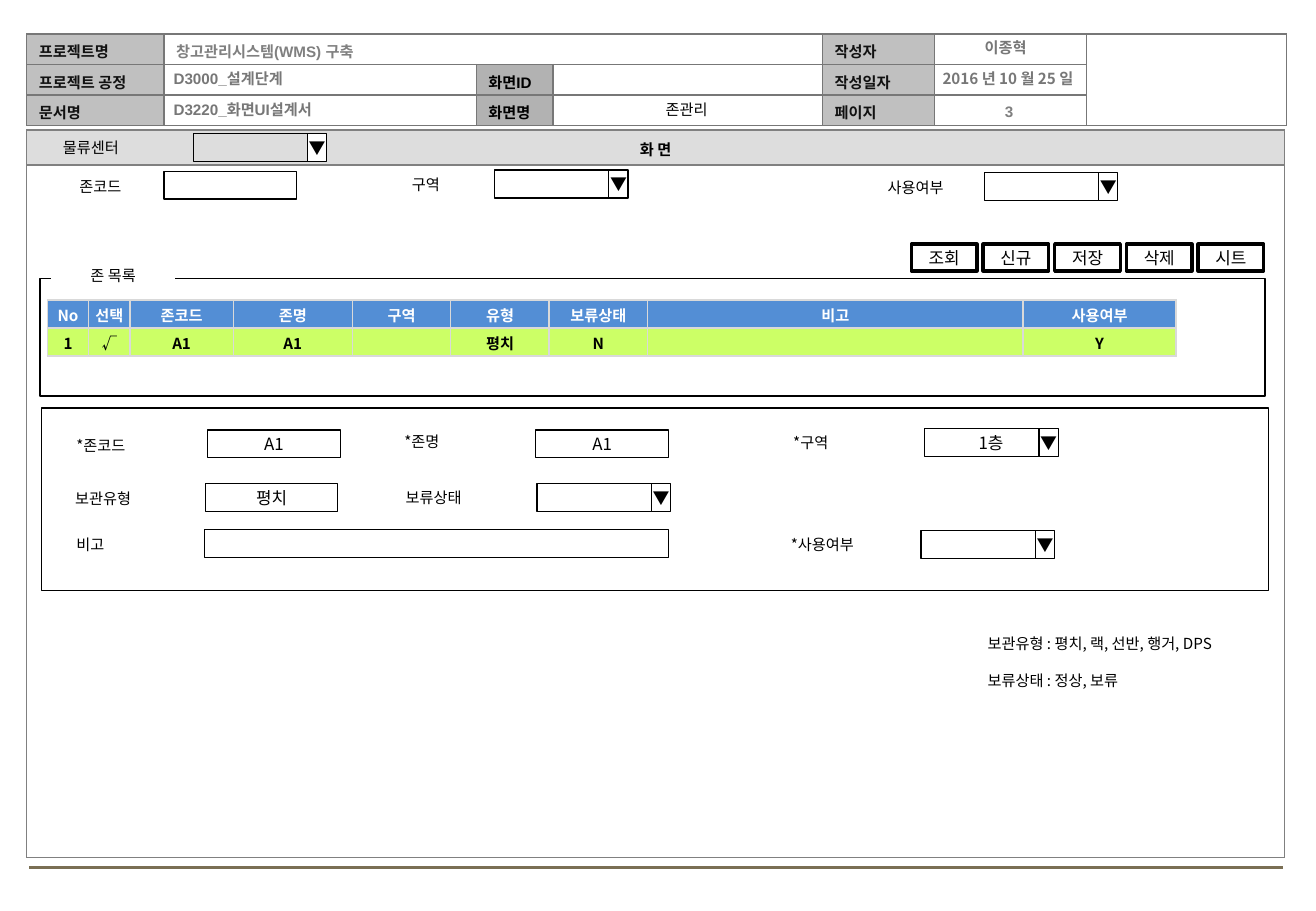
from lxml import etree
from pptx import Presentation
from pptx.dml.color import RGBColor
from pptx.enum.shapes import MSO_CONNECTOR, MSO_SHAPE
from pptx.enum.text import MSO_ANCHOR, PP_ALIGN
from pptx.oxml import parse_xml
from pptx.oxml.ns import nsdecls, qn
from pptx.util import Inches, Pt

BLACK = RGBColor(0x00, 0x00, 0x00)
WHITE = RGBColor(0xFF, 0xFF, 0xFF)
INK = RGBColor(0x11, 0x11, 0x11)
TITLE_GRAY = RGBColor(0x80, 0x80, 0x80)
PAGE_GRAY = RGBColor(0x7F, 0x7F, 0x7F)
TEXT_GRAY = RGBColor(0x77, 0x77, 0x77)
LABEL_FILL = RGBColor(0xC0, 0xC0, 0xC0)
SCREEN_FILL = RGBColor(0xB2, 0xB2, 0xB2)
BAND_FILL = RGBColor(0xDD, 0xDD, 0xDD)
LIST_BLUE = RGBColor(0x53, 0x8E, 0xD5)
LIST_GREEN = RGBColor(0xCC, 0xFF, 0x66)
LIST_RULE = RGBColor(0xD9, 0xD9, 0xD9)
FOOT_BROWN = RGBColor(0x7A, 0x6F, 0x54)
NOTO, ARIAL = "Noto Sans CJK KR", "Arial"
LEFT, CENTER = PP_ALIGN.LEFT, PP_ALIGN.CENTER

header_widths = [1.13, 2.57, 0.63, 2.22, 0.92, 1.25, 1.65]
header_rows = [
    ["프로젝트명", "창고관리시스템(WMS) 구축", "", "", "작성자", "", ""],
    ["프로젝트 공정", "", "화면ID", "", "작성일자", "", ""],
    ["문서명", "", "화면명", "", "페이지", "", ""],
]
header_notes = [
    ("D3000_설계단계", 1.33, 0.52, 5.42, LEFT, ARIAL, TEXT_GRAY, True),
    ("D3220_화면UI설계서", 1.33, 0.78, 5.41, LEFT, ARIAL, TEXT_GRAY, True),
    ("3", 7.68, 0.79, 1.25, CENTER, ARIAL, PAGE_GRAY, True),
    ("존관리", 4.56, 0.78, 2.18, CENTER, NOTO, BLACK, False),
    ("2016 년 10 월 25 일", 7.51, 0.52, 1.57, CENTER, NOTO, TEXT_GRAY, True),
    ("이종혁", 7.49, 0.27, 1.57, CENTER, NOTO, TEXT_GRAY, True),
]
list_widths = [0.34, 0.34, 0.85, 0.98, 0.81, 0.81, 0.81, 3.09, 1.26]
list_rows = [
    ["No", "선택", "존코드", "존명", "구역", "유형", "보류상태", "비고", "사용여부"],
    ["1", "√", "A1", "A1", "", "평치", "N", "", "Y"],
]
buttons = ["조회", "신규", "저장", "삭제", "시트"]
fields = [
    ("물류센터", 0.42, 1.09, 1.17, False, 1.59, 1.1, 1.09, "", True),
    ("존코드", 0.3, 1.41, 1.05, True, 1.35, 1.41, 1.09, "", False),
    ("구역", 3.29, 1.39, 0.79, False, 4.07, 1.4, 1.09, "", True),
    ("사용여부", 7.01, 1.42, 1.05, True, 8.1, 1.42, 1.09, "", True),
    ("*존코드", 0.53, 3.54, 1.17, False, 1.71, 3.54, 1.09, "A1", False),
    ("*존명", 3.23, 3.51, 1.17, False, 4.41, 3.54, 1.09, "A1", False),
    ("*구역", 6.43, 3.52, 1.17, False, 7.61, 3.53, 1.09, "1층", True),
    ("보관유형", 0.52, 3.98, 1.17, False, 1.69, 3.98, 1.09, "평치", False),
    ("보류상태", 3.24, 3.97, 1.17, False, 4.42, 3.98, 1.09, "", True),
    ("비고", 0.53, 4.36, 1.17, False, 1.68, 4.36, 3.82, "", False),
    ("*사용여부", 6.41, 4.36, 1.17, False, 7.58, 4.37, 1.09, "", True),
]
code_notes = ["보관유형 : 평치, 랙, 선반, 행거, DPS", "보류상태 : 정상, 보류"]

deck = Presentation()
deck.slide_width, deck.slide_height = Inches(10.83), Inches(7.5)
slide = deck.slides.add_slide(deck.slide_layouts[6])
shapes = slide.shapes


def write(frame, text, size=9, font=NOTO, color=BLACK, bold=False, align=LEFT):
    frame.text = text
    paragraph = frame.paragraphs[0]
    paragraph.alignment = align
    for run in paragraph.runs:
        run.font.size, run.font.bold, run.font.name = Pt(size), bold, font
        run.font.color.rgb = color
        east = etree.SubElement(run._r.get_or_add_rPr(), qn("a:ea"))
        east.set("typeface", NOTO)
    if not text:
        etree.SubElement(paragraph._p, qn("a:endParaRPr")).set("sz", str(size * 100))


def label(text, left, top, width, align=LEFT, font=NOTO, color=BLACK, bold=False):
    box = shapes.add_textbox(*map(Inches, (left, top, width, 0.25)))
    box.text_frame.word_wrap = True
    write(box.text_frame, text, 9, font, color, bold, align)
    return box


def rect(left, top, width, height, text="", fill=None, weight=0.75):
    box = shapes.add_shape(MSO_SHAPE.RECTANGLE, *map(Inches, (left, top, width, height)))
    box.shadow.inherit = False
    if fill is None:
        box.fill.background()
    else:
        box.fill.solid()
        box.fill.fore_color.rgb = fill
    box.line.color.rgb, box.line.width = BLACK, Pt(weight)
    if text:
        frame = box.text_frame
        frame.word_wrap = False
        frame.vertical_anchor = MSO_ANCHOR.MIDDLE
        frame.margin_left = frame.margin_right = Inches(0.02)
        frame.margin_top = frame.margin_bottom = Inches(0.04)
        write(frame, text, 10, align=CENTER)


def grid(left, top, widths, heights):
    table = shapes.add_table(len(heights), len(widths), Inches(left), Inches(top),
                             Inches(sum(widths)), Inches(sum(heights))).table
    table.first_row = table.horz_banding = False
    for column, width in zip(table.columns, widths):
        column.width = Inches(width)
    for row, height in zip(table.rows, heights):
        row.height = Inches(height)
    return table


def fill_cell(cell, text, margins, fill, rule, **style):
    cell.margin_left = cell.margin_right = Inches(margins[0])
    cell.margin_top, cell.margin_bottom = Inches(margins[1]), Inches(margins[2])
    cell.vertical_anchor = MSO_ANCHOR.MIDDLE
    write(cell.text_frame, text, bold=True, **style)
    if fill is None:
        cell.fill.background()
    else:
        cell.fill.solid()
        cell.fill.fore_color.rgb = fill
    for place, side in enumerate(("lnL", "lnR", "lnT", "lnB")):
        cell._tc.get_or_add_tcPr().insert(place, parse_xml(
            f'<a:{side} {nsdecls("a")} w="12700"><a:solidFill>'
            f'<a:srgbClr val="{rule}"/></a:solidFill></a:{side}>'))


foot = shapes.add_connector(MSO_CONNECTOR.STRAIGHT, *map(Inches, (0.24, 7.14, 10.56, 7.14)))
foot.line.color.rgb, foot.line.width = FOOT_BROWN, Pt(1.75)
etree.SubElement(foot._element.spPr, qn("a:effectLst"))

header = grid(0.22, 0.28, header_widths, [0.25] * 3)
for r, row in enumerate(header_rows):
    for c, text in enumerate(row):
        screen = c == 2 and text
        fill = LABEL_FILL if c in (0, 4) else SCREEN_FILL if screen else None
        color = TITLE_GRAY if c == 1 else BLACK if screen else INK
        fill_cell(header.cell(r, c), text, (0.1, 0.05, 0.02), fill, TEXT_GRAY,
                  font=ARIAL, color=color)
header.cell(0, 1).merge(header.cell(0, 3))
header.cell(0, 6).merge(header.cell(2, 6))

screen_area = grid(0.22, 1.07, [10.35], [0.29, 5.7])
for r, (text, fill) in enumerate([("화 면", BAND_FILL), ("", None)]):
    fill_cell(screen_area.cell(r, 0), text, (0.02, 0.02, 0), fill, TITLE_GRAY,
              font=ARIAL, align=CENTER)

for note in header_notes:
    label(*note)

zones = grid(0.39, 2.47, list_widths, [0.23] * 2)
for r, (row, fill, color) in enumerate(zip(list_rows, (LIST_BLUE, LIST_GREEN), (WHITE, BLACK))):
    for c, text in enumerate(row):
        fill_cell(zones.cell(r, c), text, (0.01, 0.01, 0), fill, LIST_RULE,
                  color=color, align=CENTER)

rect(0.33, 2.29, 10.08, 0.97)
list_title = label("존 목록", 0.42, 2.14, 1.02, CENTER)
list_title.fill.solid()
list_title.fill.fore_color.rgb = WHITE
rect(0.34, 3.36, 10.1, 1.5)

for i, name in enumerate(buttons):
    rect(7.5 + 0.59 * i, 2.01, 0.54, 0.22, name, WHITE, 2)

for name, x, y, width, centred, field_x, field_y, field_width, value, dropdown in fields:
    label(name, x, y, width, CENTER if centred else LEFT)
    rect(field_x, field_y, field_width, 0.23, value, WHITE if centred else None)
    if dropdown:
        rect(field_x + 0.94, field_y, 0.16, 0.23, "▼", WHITE)

for i, note in enumerate(code_notes):
    label(note, 8.03, 5.17 + 0.31 * i, 2.4)

deck.save("out.pptx")
